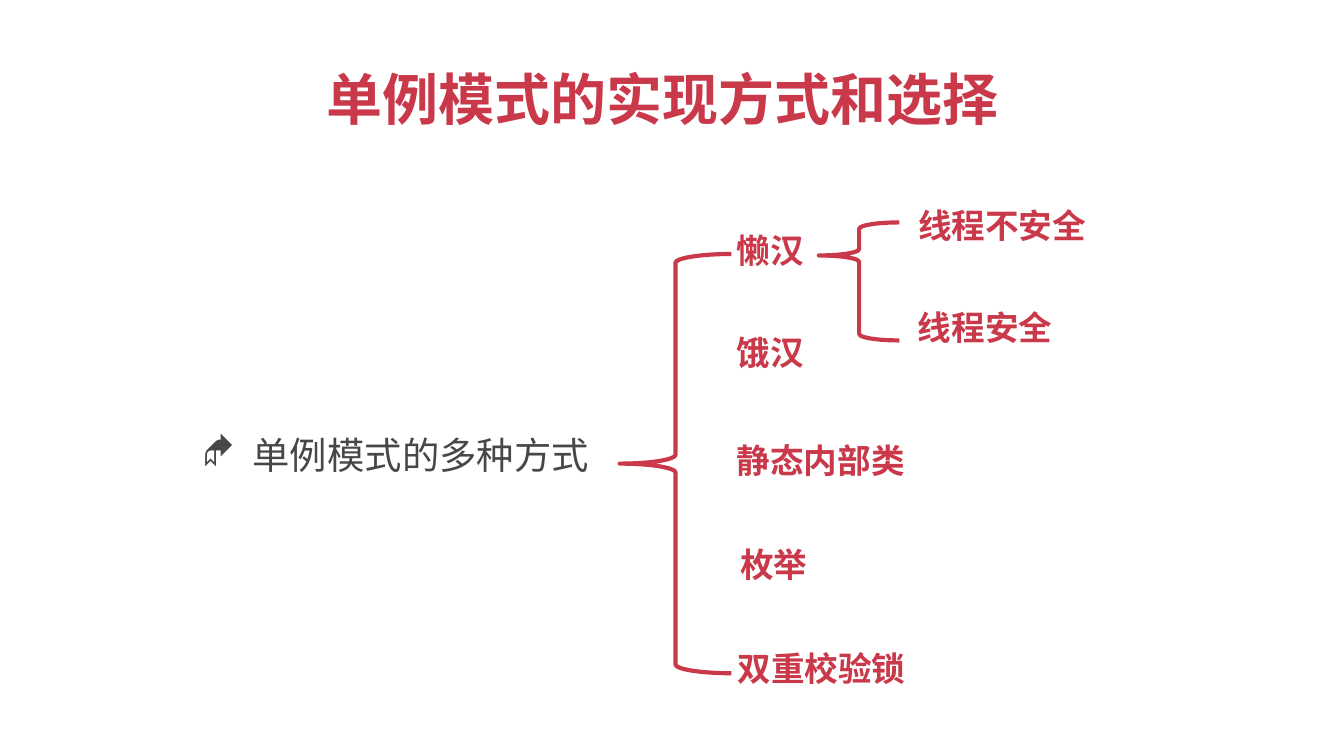
from lxml.etree import SubElement
from pptx import Presentation
from pptx.dml.color import RGBColor as RGB
from pptx.enum.shapes import MSO_SHAPE as SHAPE
from pptx.enum.text import MSO_ANCHOR as ANCHOR, PP_ALIGN as ALIGN
from pptx.oxml.ns import qn
from pptx.util import Pt

FONT = "Noto Sans CJK SC"
COLORS = {"red": "C9394A", "gray": "474747"}

deck = Presentation()
deck.slide_width, deck.slide_height = Pt(720), Pt(405)
slide = deck.slides.add_slide(deck.slide_layouts[6])


def add_text(text, box, size, color="red", bold=True, wrap=False, bullet=None):
    frame = slide.shapes.add_textbox(*map(Pt, box)).text_frame
    frame.word_wrap = wrap
    para = frame.paragraphs[0]
    para.text = text
    if bullet:
        props = para._p.get_or_add_pPr()
        props.set("marL", str(Pt(63)))
        props.set("indent", str(Pt(-27)))
        SubElement(props, qn("a:buFont"), typeface="Wingdings", charset="2")
        SubElement(props, qn("a:buChar"), char=bullet)
    font = para.font
    font.name, font.size, font.bold = FONT, Pt(size), bold
    font.color.rgb = RGB.from_string(COLORS[color])
    # East Asian typeface
    SubElement(font._element, qn("a:ea"), typeface=FONT)
    return frame


# Title
title = add_text("单例模式的实现方式和选择", (31, 32.4, 648, 40.3), 30, wrap=True)
title.vertical_anchor = ANCHOR.MIDDLE
title.paragraphs[0].alignment = ALIGN.CENTER

# Root topic
root = add_text("单例模式的多种方式", (65.2, 227.9, 674.6, 31.7), 20,
                "gray", False, True, "◆")
root.vertical_anchor = ANCHOR.MIDDLE

# Branch labels: text, left, top, width
labels = [
    ("懒汉", 387.6, 119.6, 51),
    ("饿汉", 387.6, 174.3, 51),
    ("静态内部类", 387.6, 232.1, 105),
    ("枚举", 389.5, 288, 51),
    ("双重校验锁", 388, 343.6, 105),
    ("线程不安全", 484.8, 106.1, 105),
    ("线程安全", 484.6, 160.9, 87),
]
for text, left, top, width in labels:
    add_text(text, (left, top, width, 29), 18)

# Braces: box, position of the tip
braces = [
    ((332, 136.1, 59.8, 224.6), 0.5),
    ((438.7, 119.2, 43.2, 63.2), 0.28),
]
for box, tip in braces:
    brace = slide.shapes.add_shape(SHAPE.LEFT_BRACE, *map(Pt, box))
    brace.adjustments[0] = 0.08
    brace.adjustments[1] = tip
    brace.shadow.inherit = False
    brace.fill.background()
    brace.line.color.rgb = RGB.from_string(COLORS["red"])
    brace.line.width = Pt(2.25)

deck.save("out.pptx")
